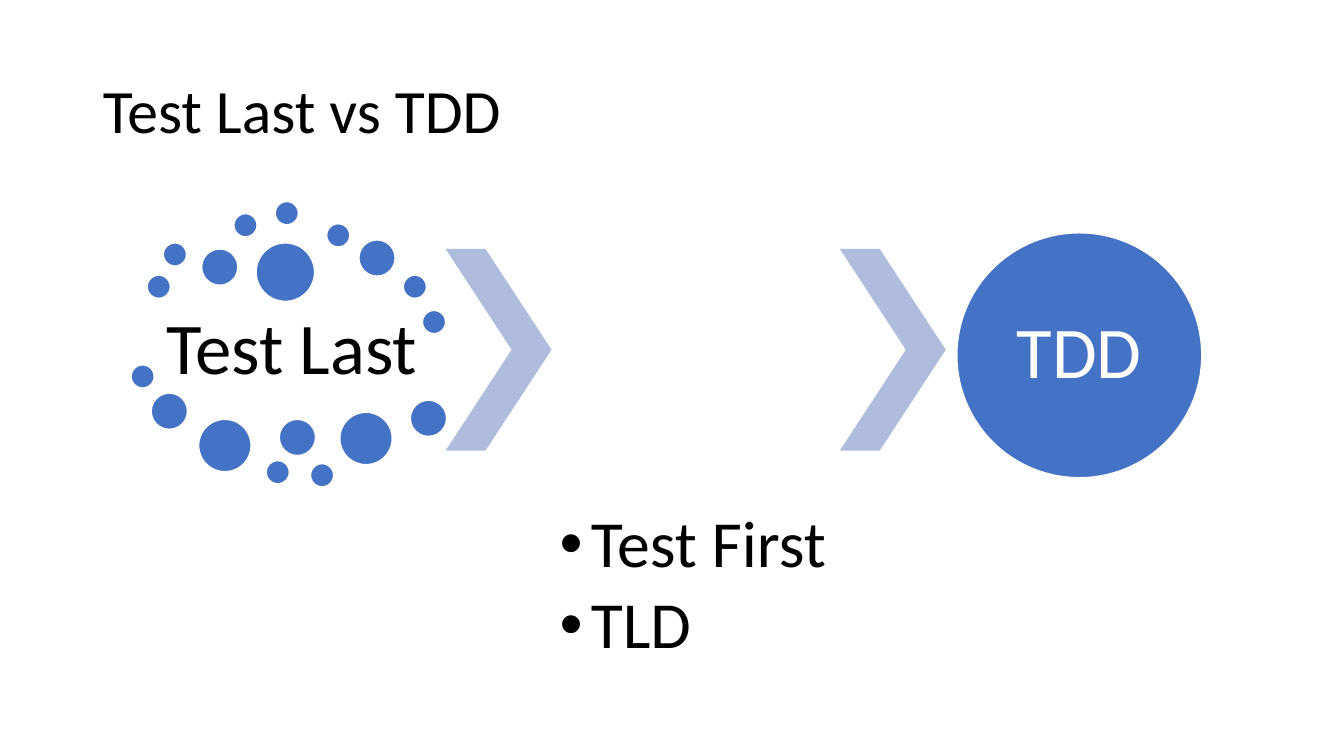
from lxml import etree
from pptx import Presentation
from pptx.dml.color import RGBColor
from pptx.enum.shapes import MSO_SHAPE as Shape
from pptx.enum.text import MSO_ANCHOR as Anchor, MSO_AUTO_SIZE as AutoSize, PP_ALIGN as Align
from pptx.oxml.ns import qn
from pptx.util import Inches, Pt

COLORS = {"blue": "4472C4", "pale": "B0BCDE", "black": "000000", "white": "FFFFFF"}
FONT = "Calibri"
SMALL, MEDIUM, LARGE, HUGE = 0.23, 0.36, 0.52, 0.58

# Left, top and diameter of each dot, relative to the cloud's box
DOTS = [
    (0.16, 0.73, SMALL), (0.32, 0.41, SMALL), (0.7, 0.47, MEDIUM),
    (1.02, 0.12, SMALL), (1.43, 0, SMALL), (1.94, 0.22, SMALL),
    (2.26, 0.38, MEDIUM), (2.7, 0.73, SMALL), (2.89, 1.08, SMALL),
    (1.24, 0.41, HUGE), (0, 1.62, SMALL), (0.2, 1.9, MEDIUM),
    (0.67, 2.16, LARGE), (1.34, 2.57, SMALL), (1.47, 2.16, MEDIUM),
    (1.78, 2.6, SMALL), (2.07, 2.09, LARGE), (2.77, 1.97, MEDIUM),
]


def color(name):
    return RGBColor.from_string(COLORS[name])


def set_text(box, lines, size, shade, align, anchor, inset):
    frame = box.text_frame
    frame.text = "\n".join(lines)
    frame.word_wrap = True
    frame.auto_size = AutoSize.NONE
    frame.vertical_anchor = anchor
    frame.margin_left = frame.margin_right = Inches(inset)
    frame.margin_top = frame.margin_bottom = Inches(inset)
    for para in frame.paragraphs:
        para.alignment = align
        para.line_spacing = 0.9
        for span in para.runs:
            span.font.name = FONT
            span.font.size = Pt(size)
            span.font.color.rgb = color(shade)
    return frame


def add_text(page, area, *style):
    return set_text(page.shapes.add_textbox(*map(Inches, area)), *style)


def add_filled(page, kind, area, shade, outlined=False):
    shape = page.shapes.add_shape(kind, *map(Inches, area))
    shape.shadow.inherit = False
    shape.fill.solid()
    shape.fill.fore_color.rgb = color(shade)
    if outlined:
        shape.line.color.rgb = color("white")
        shape.line.width = Pt(1)
    else:
        shape.line.fill.background()
    return shape


def add_title(page, area):
    title = page.shapes.title
    title.left, title.top, title.width, title.height = map(Inches, area)
    set_text(title, ["Test Last vs TDD"], 44, "black", Align.LEFT, Anchor.MIDDLE, 0.1)


def add_dot_cloud(page, left, top):
    """Draw the starting point: a label ringed by scattered dots."""
    add_text(page, (left + 0.17, top + 1.01, 2.85, 0.94), ["Test Last"], 52,
             "black", Align.CENTER, Anchor.MIDDLE, 0.07)
    for across, down, size in DOTS:
        add_filled(page, Shape.OVAL, (left + across, top + down, size, size), "blue", True)


def add_chevron(page, left, top):
    chevron = add_filled(page, Shape.CHEVRON, (left, top, 1.05, 2), "pale")
    chevron.adjustments[0] = 0.623


def add_bullets(page, area):
    frame = add_text(page, area, ["Test First", "TLD"], 47,
                     "black", Align.LEFT, Anchor.TOP, 0.08)
    for para in frame.paragraphs:
        para.level = 1
        para.space_after = Pt(7)
        properties = para._p.get_or_add_pPr()
        properties.set("marL", str(Inches(0.31)))
        properties.set("indent", str(-Inches(0.31)))
        etree.SubElement(properties, qn("a:buFont")).set("typeface", "Arial")
        etree.SubElement(properties, qn("a:buChar")).set("char", "•")


def add_goal(page, left, top, size):
    """Draw the end point: one large circle with its label."""
    add_filled(page, Shape.OVAL, (left, top, size, size), "blue", True)
    inset = 0.35
    side = size - 2 * inset
    add_text(page, (left + inset, top + inset, side, side), ["TDD"], 52,
             "white", Align.CENTER, Anchor.MIDDLE, 0)


def main():
    deck = Presentation()
    deck.slide_width, deck.slide_height = Inches(13.33), Inches(7.5)
    page = deck.slides.add_slide(deck.slide_layouts[5])
    add_title(page, (0.92, 0.4, 11.5, 1.45))
    add_dot_cloud(page, 1.3, 2)
    for left in (4.42, 8.33):
        add_chevron(page, left, 2.47)
    add_bullets(page, (5.47, 4.99, 2.86, 1.76))
    add_goal(page, 9.49, 2.31, 2.43)
    deck.save("out.pptx")


if __name__ == "__main__":
    main()
